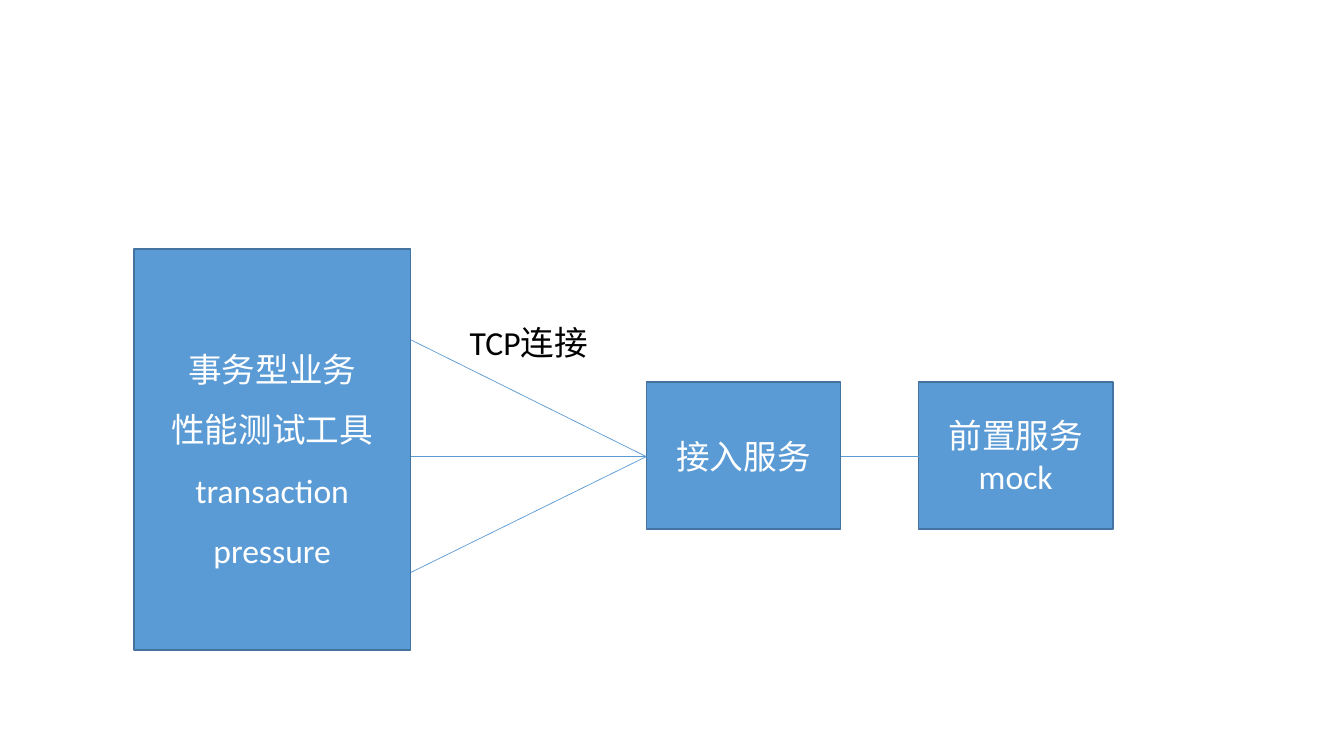
from dataclasses import dataclass

from lxml.etree import SubElement
from pptx import Presentation
from pptx.dml.color import RGBColor
from pptx.enum.shapes import MSO_CONNECTOR, MSO_SHAPE
from pptx.enum.text import MSO_ANCHOR, MSO_AUTO_SIZE, PP_ALIGN
from pptx.oxml.ns import qn
from pptx.util import Inches, Pt


@dataclass(frozen=True)
class Theme:
    blue: RGBColor = RGBColor(0x5B, 0x9B, 0xD5)
    edge: RGBColor = RGBColor(0x43, 0x73, 0x9E)
    white: RGBColor = RGBColor(0xFF, 0xFF, 0xFF)
    black: RGBColor = RGBColor(0, 0, 0)
    font: str = "Calibri"
    size: Pt = Pt(24)
    border: Pt = Pt(1)
    wire: Pt = Pt(0.5)


def apply(target, values):
    for key, value in values.items():
        setattr(target, key, value)


class Board:
    def __init__(self, slide, theme):
        self.slide = slide
        self.theme = theme

    def text(self, frame, lines, color, **form):
        frame.word_wrap = True
        for i, line in enumerate(lines):
            para = frame.paragraphs[0] if i == 0 else frame.add_paragraph()
            apply(para, form)
            run = para.add_run()
            run.text = line
            apply(run.font, {"name": self.theme.font, "size": self.theme.size})
            run.font.color.rgb = color

    def box(self, left, top, width, height, lines, space=None):
        shape = self.slide.shapes.add_shape(
            MSO_SHAPE.RECTANGLE, *map(Inches, (left, top, width, height)))
        shape.shadow.inherit = False
        shape.fill.solid()
        shape.fill.fore_color.rgb = self.theme.blue
        shape.line.color.rgb = self.theme.edge
        shape.line.width = self.theme.border
        shape.text_frame.vertical_anchor = MSO_ANCHOR.MIDDLE
        self.text(shape.text_frame, lines, self.theme.white,
                  alignment=PP_ALIGN.CENTER, line_spacing=space)

    def link(self, start, end):
        line = self.slide.shapes.add_connector(
            MSO_CONNECTOR.STRAIGHT, *map(Inches, (*start, *end)))
        line.line.color.rgb = self.theme.blue
        line.line.width = self.theme.wire
        SubElement(line._element.spPr, qn("a:effectLst"))

    def label(self, left, top, width, height, text):
        area = self.slide.shapes.add_textbox(
            *map(Inches, (left, top, width, height)))
        area.text_frame.auto_size = MSO_AUTO_SIZE.SHAPE_TO_FIT_TEXT
        self.text(area.text_frame, [text], self.theme.black)


def main():
    deck = Presentation()
    apply(deck, {"slide_width": Inches(13.33), "slide_height": Inches(7.5)})
    board = Board(deck.slides.add_slide(deck.slide_layouts[6]), Theme())

    # Services
    top, width, height = 3.79, 1.93, 1.46
    entry, front = 6.41, 9.11
    board.box(entry, top, width, height, ["接入服务"])
    board.box(front, top, width, height, ["前置服务", "mock"])

    # Connections meeting at the entry service
    mid = 4.53
    for y in (3.27, 4.53, 5.78):
        board.link((3.87, y), (entry, mid))
    board.link((entry + width, mid), (front, mid))

    # Test tool, covering the line ends
    board.box(1.33, 2.47, 2.74, 3.98,
              ["事务型业务", "性能测试工具", "transaction", "pressure"], 1.5)
    board.label(4.56, 3.14, 1.39, 0.5, "TCP连接")

    deck.save("out.pptx")


if __name__ == "__main__":
    main()
